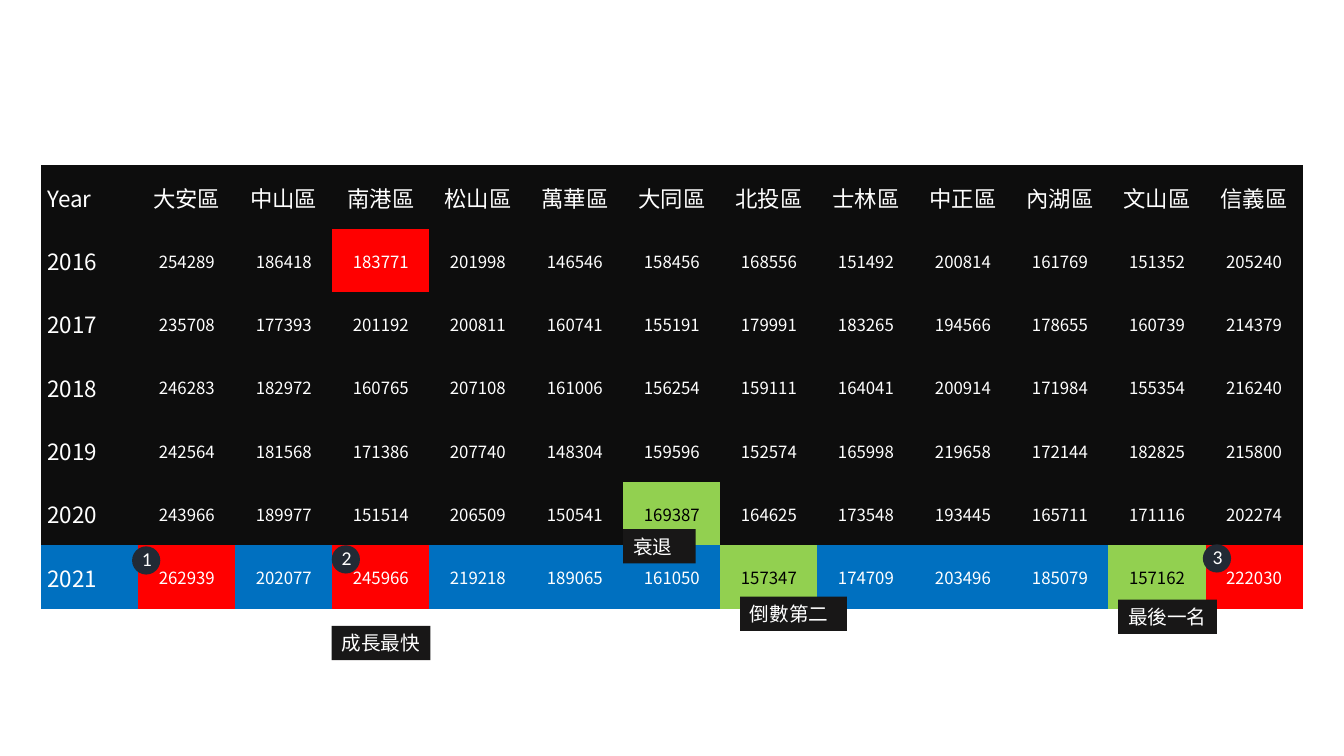
from lxml import etree
from pptx import Presentation
from pptx.dml.color import RGBColor
from pptx.enum import shapes, text
from pptx.oxml import ns
from pptx.util import Inches, Pt

COLORS = {
    "night": "0D0D0D", "latest": "0070C0", "high": "FF0000", "low": "92D050",
    "label": "181717", "badge": "222A35", "white": "FFFFFF", "black": "000000",
}
TABLE_FONT = "Noto Sans CJK TC"
LABEL_FONT = "Calibri"
NO_GRID_STYLE = "{2D5ABB26-0587-4C30-8999-92F81FD0307C}"

DISTRICTS = ["大安區", "中山區", "南港區", "松山區", "萬華區", "大同區",
             "北投區", "士林區", "中正區", "內湖區", "文山區", "信義區"]
PRICES = {
    2016: [254289, 186418, 183771, 201998, 146546, 158456,
           168556, 151492, 200814, 161769, 151352, 205240],
    2017: [235708, 177393, 201192, 200811, 160741, 155191,
           179991, 183265, 194566, 178655, 160739, 214379],
    2018: [246283, 182972, 160765, 207108, 161006, 156254,
           159111, 164041, 200914, 171984, 155354, 216240],
    2019: [242564, 181568, 171386, 207740, 148304, 159596,
           152574, 165998, 219658, 172144, 182825, 215800],
    2020: [243966, 189977, 151514, 206509, 150541, 169387,
           164625, 173548, 193445, 165711, 171116, 202274],
    2021: [262939, 202077, 245966, 219218, 189065, 161050,
           157347, 174709, 203496, 185079, 157162, 222030],
}
HIGHLIGHTS = {
    (2016, "南港區"): "high", (2020, "大同區"): "low",
    (2021, "大安區"): "high", (2021, "南港區"): "high",
    (2021, "北投區"): "low", (2021, "文山區"): "low", (2021, "信義區"): "high",
}
LABELS = [("最後一名", 11.09, 5.95, 0.98), ("倒數第二", 7.34, 5.92, 1.06),
          ("成長最快", 3.29, 6.21, 0.98), ("衰退", 6.18, 5.25, 0.72)]
BADGES = [("1", 1.31, 5.42), ("2", 3.29, 5.41), ("3", 11.93, 5.4)]
LABEL_HEIGHT = 0.34
BADGE_SIZE = 0.28


def rgb(name):
    return RGBColor.from_string(COLORS[name])


def write(frame, words, size, font, color="white", align=text.PP_ALIGN.LEFT):
    frame.text = words
    paragraph = frame.paragraphs[0]
    paragraph.alignment = align
    run = paragraph.runs[0]
    run.font.size = Pt(size)
    run.font.name = font
    run.font.color.rgb = rgb(color)
    east_asian = etree.SubElement(run.font._element, ns.qn("a:ea"))
    east_asian.set("typeface", TABLE_FONT)


def paint(shape, color):
    shape.shadow.inherit = False
    shape.fill.solid()
    shape.fill.fore_color.rgb = rgb(color)
    shape.line.fill.background()


def write_label(shape, words):
    frame = shape.text_frame
    frame.word_wrap = True
    frame.margin_right = 0
    frame.vertical_anchor = text.MSO_ANCHOR.MIDDLE
    write(frame, words, 14, LABEL_FONT)


def add_price_table(slide):
    rows = [["Year", *DISTRICTS]] + [[year, *values] for year, values in PRICES.items()]
    table = slide.shapes.add_table(len(rows), len(rows[0]), Inches(0.41), Inches(1.64),
                                   Inches(12.51), Inches(4.4)).table
    table.first_row = table.horz_banding = False
    table._tbl.tblPr.find(ns.qn("a:tableStyleId")).text = NO_GRID_STYLE
    for r, row in enumerate(rows):
        base = "latest" if row[0] == max(PRICES) else "night"
        for c, value in enumerate(row):
            fill = HIGHLIGHTS.get((row[0], rows[0][c]), base)
            cell = table.cell(r, c)
            cell.fill.solid()
            cell.fill.fore_color.rgb = rgb(fill)
            cell.vertical_anchor = text.MSO_ANCHOR.MIDDLE
            cell.margin_left = Inches(0.01 if c else 0.06)
            cell.margin_right = cell.margin_top = Inches(0.01)
            cell.margin_bottom = 0
            write(cell.text_frame, str(value), 12 if r and c else 16, TABLE_FONT,
                  "black" if fill == "low" else "white",
                  text.PP_ALIGN.CENTER if c else text.PP_ALIGN.LEFT)


def add_label(slide, words, left, top, width):
    label = slide.shapes.add_shape(shapes.MSO_SHAPE.RECTANGLE, Inches(left), Inches(top),
                                   Inches(width), Inches(LABEL_HEIGHT))
    paint(label, "label")
    write_label(label, words)


def add_badge(slide, rank, left, top):
    badge = slide.shapes.add_group_shape().shapes
    disc = badge.add_shape(shapes.MSO_SHAPE.OVAL, Inches(left), Inches(top),
                           Inches(BADGE_SIZE), Inches(BADGE_SIZE))
    paint(disc, "badge")
    number = badge.add_textbox(Inches(left), Inches(top - 0.05),
                               Inches(0.37), Inches(LABEL_HEIGHT))
    write_label(number, rank)


def main():
    deck = Presentation()
    deck.slide_width, deck.slide_height = Inches(13.33), Inches(7.5)
    slide = deck.slides.add_slide(deck.slide_layouts[6])
    add_price_table(slide)
    for label in LABELS[:-1]:
        add_label(slide, *label)
    for badge in BADGES:
        add_badge(slide, *badge)
    add_label(slide, *LABELS[-1])
    deck.save("out.pptx")


if __name__ == "__main__":
    main()
